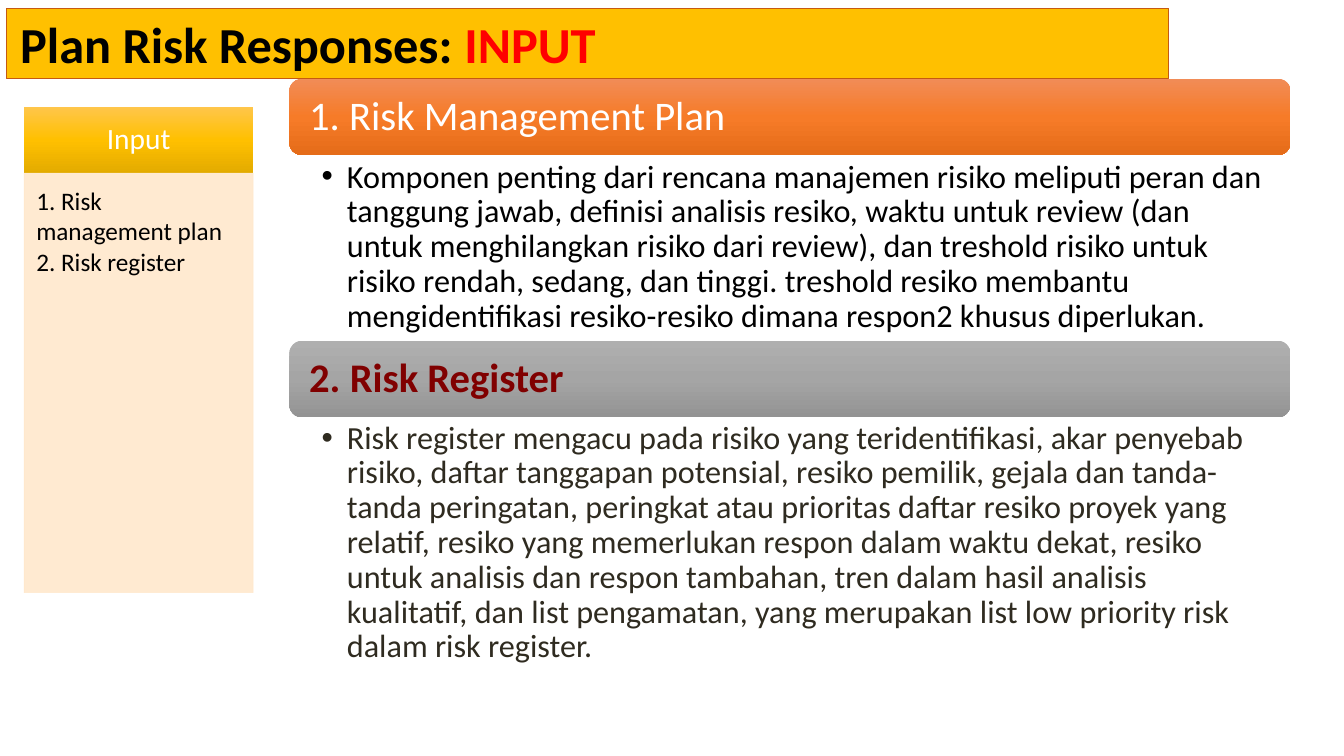
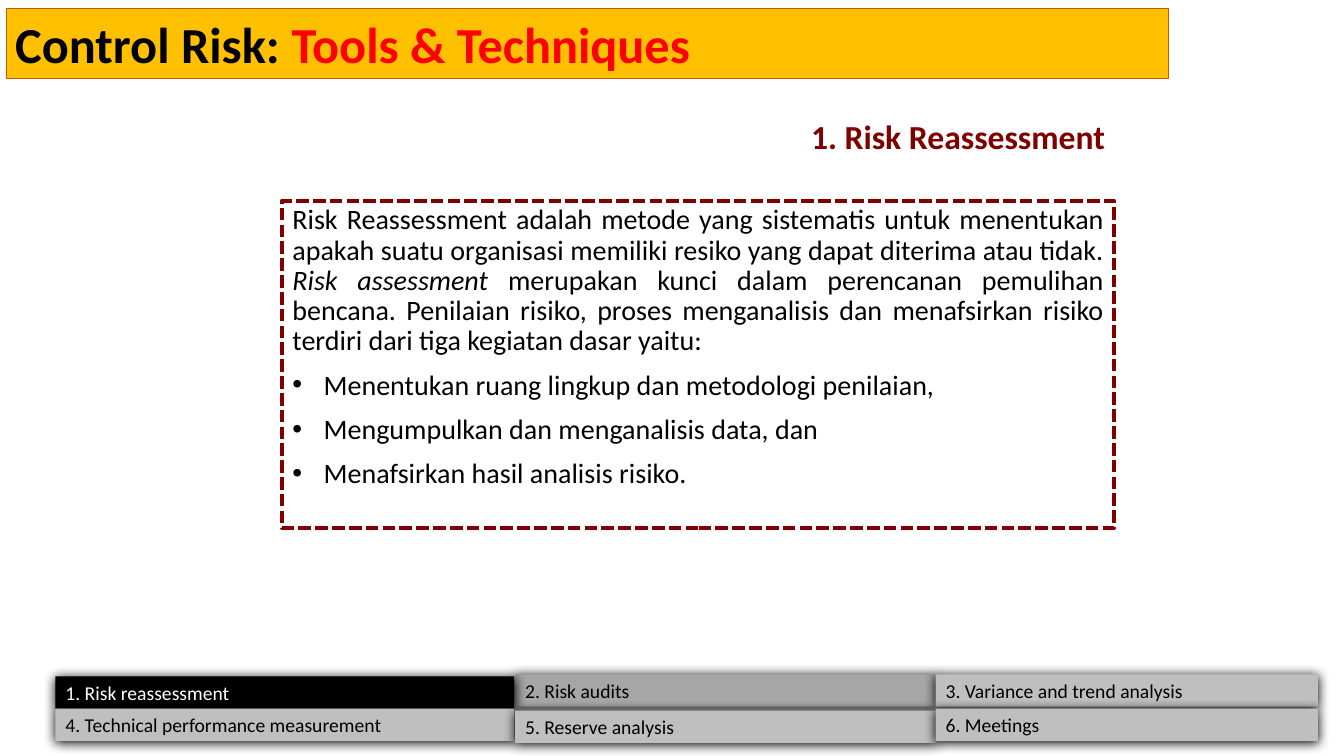
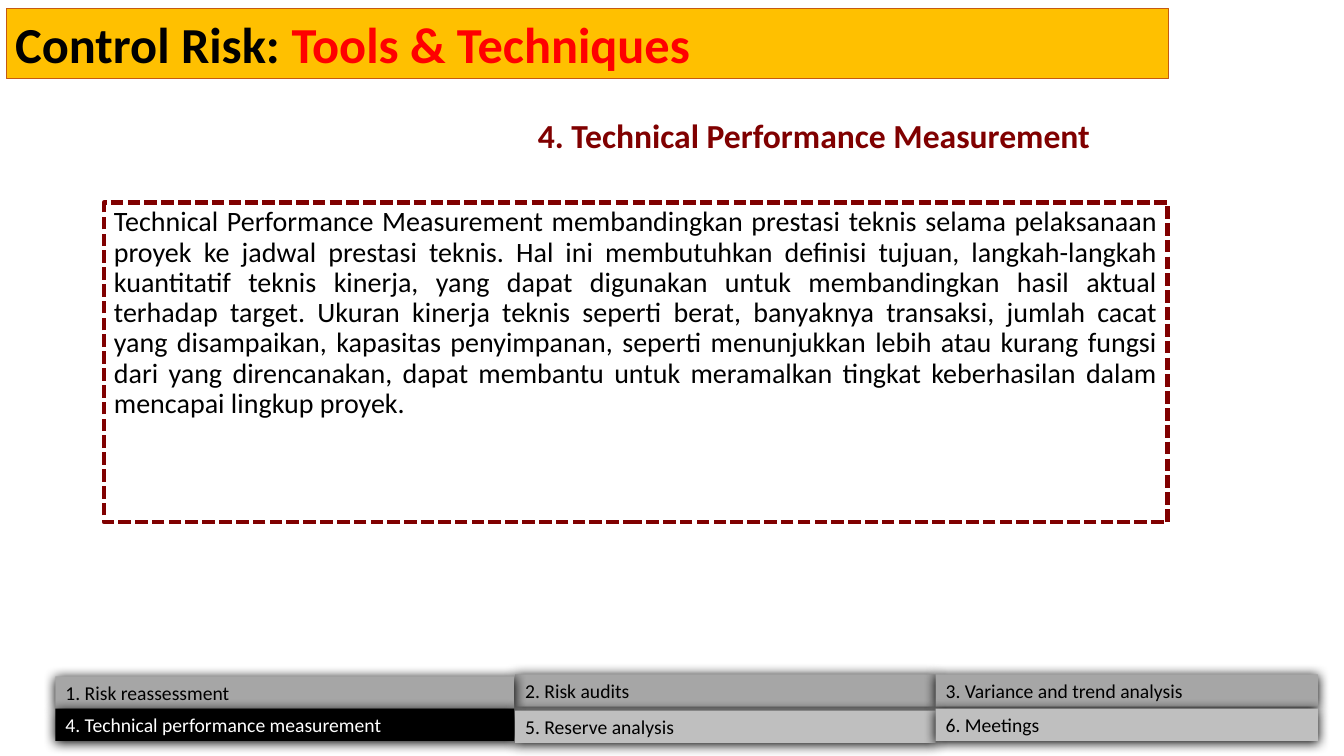
"""Build three risk management slides with a shared title band and tab bar."""
from dataclasses import dataclass

from lxml.etree import SubElement
from pptx import Presentation
from pptx.dml.color import RGBColor
from pptx.enum.dml import MSO_LINE
from pptx.enum.shapes import MSO_SHAPE
from pptx.enum.text import MSO_ANCHOR, MSO_AUTO_SIZE, PP_ALIGN
from pptx.oxml.ns import qn
from pptx.util import Inches, Pt


@dataclass(frozen=True)
class Theme:
    font: str = "Calibri"
    band: str = "FFC000"
    band_line: str = "C55A11"
    black: str = "000000"
    white: str = "FFFFFF"
    red: str = "FF0000"
    maroon: str = "800000"
    olive: str = "2F2B20"
    cream: str = "FFE8CC"
    tab: str = "BFBFBF"
    tab_dark: str = "A6A6A6"
    gold: tuple = ("FFC64B", "FFC000", "E3AB00")
    orange: tuple = ("F18C57", "F67B28", "E56C19")
    gray: tuple = ("AFAFAF", "A5A5A5", "939393")
    title_size: int = 36
    header_size: int = 29
    heading_size: int = 24
    detail_size: int = 23
    input_size: int = 21
    body_size: int = 20
    panel_size: int = 18
    tab_size: int = 14


T = Theme()
INSETS = (0.1, 0.05, 0.1, 0.05)
TABS = [
    (2, "2. Risk audits", 5.11, 6.69, 4.17),
    (3, "3. Variance and trend analysis", 9.28, 6.69, 3.79),
    (1, "1. Risk reassessment", 0.55, 6.71, 4.55),
    (4, "4. Technical performance measurement", 0.55, 7.03, 4.55),
    (5, "5. Reserve analysis", 5.11, 7.05, 4.17),
    (6, "6. Meetings", 9.28, 7.03, 3.79),
]


def assign(obj, values):
    for name, value in values.items():
        setattr(obj, name, value)


def rgb(color):
    return RGBColor.from_string(color)


class Deck:
    def __init__(self, theme):
        self.t = theme
        self.prs = Presentation()
        assign(self.prs, {"slide_width": Inches(13.33), "slide_height": Inches(7.5)})
        self.s = None

    def slide(self, layout, lead, accent, left=0.09):
        self.s = self.prs.slides.add_slide(self.prs.slide_layouts[layout])
        sp = self.s.shapes.title
        self.place(sp, (0.06, 0.08, 11.53, 0.7))
        self.paint(sp, self.t.band, self.t.band_line, 0.75)
        runs = [(lead, {}), (accent, {"color": self.t.red})]
        self.put_text(sp, [runs], self.t.title_size, bold=True, insets=(left, 0.05, 0.09, 0.05))

    def place(self, sp, box):
        assign(sp, dict(zip(("left", "top", "width", "height"), map(Inches, box))))

    def paint(self, sp, fill=None, line=None, width=1, alpha=None):
        if isinstance(fill, tuple):
            self.gradient(sp, fill)
        elif fill:
            sp.fill.solid()
            sp.fill.fore_color.rgb = rgb(fill)
        if line:
            sp.line.color.rgb = rgb(line)
            sp.line.width = Pt(width)
        else:
            sp.line.fill.background()
        if alpha:
            for clr in sp.element.spPr.iter(qn("a:srgbClr")):
                SubElement(clr, qn("a:alpha"), val=str(alpha * 1000))

    def gradient(self, sp, colors):
        sp.fill.gradient()
        sp.fill.gradient_angle = 270
        stops = sp.element.spPr.find(".//" + qn("a:gsLst"))
        for stop in list(stops):
            stops.remove(stop)
        for i, color in enumerate(colors):
            stop = SubElement(stops, qn("a:gs"), pos=str(i * 50000))
            SubElement(stop, qn("a:srgbClr"), val=color)

    def put_text(self, sp, paragraphs, size, color=None, bold=False, align=PP_ALIGN.LEFT,
                 anchor=MSO_ANCHOR.TOP, insets=INSETS, spacing=1.0, before=0, bullets=(), hang=0):
        tf = sp.text_frame
        assign(tf, {"word_wrap": True, "auto_size": MSO_AUTO_SIZE.NONE, "vertical_anchor": anchor})
        sides = ("margin_left", "margin_top", "margin_right", "margin_bottom")
        assign(tf, dict(zip(sides, map(Inches, insets))))
        for i, runs in enumerate(paragraphs):
            p = tf.add_paragraph() if i else tf.paragraphs[0]
            self.bullet(p, hang if i in bullets else 0)
            assign(p, {"alignment": align, "line_spacing": spacing,
                       "space_before": Pt(before if i else 0), "space_after": Pt(0)})
            for text, style in [(runs, {})] if isinstance(runs, str) else runs:
                r = p.add_run()
                r.text = text
                assign(r.font, {"name": self.t.font, "size": Pt(size), "bold": bold,
                                "italic": style.get("italic", False)})
                r.font.color.rgb = rgb(style.get("color", color or self.t.black))

    def bullet(self, p, hang):
        ppr = p._p.get_or_add_pPr()
        ppr.set("marL", str(Inches(hang)))
        ppr.set("indent", str(-Inches(hang)))
        if hang:
            SubElement(ppr, qn("a:buFont"), typeface="Arial")
            SubElement(ppr, qn("a:buChar"), char="•")
        else:
            SubElement(ppr, qn("a:buNone"))

    def box(self, box, fill, paragraphs, size, kind=MSO_SHAPE.RECTANGLE,
            line=None, width=1, alpha=None, **text):
        sp = self.s.shapes.add_shape(kind, *map(Inches, box))
        sp.shadow.inherit = False
        self.paint(sp, fill, line, width, alpha)
        self.put_text(sp, paragraphs, size, **text)
        return sp

    def header(self, top, fill, text, **style):
        self.box((2.87, top, 9.93, 0.76), fill, [text], self.t.header_size,
                 MSO_SHAPE.ROUNDED_RECTANGLE, anchor=MSO_ANCHOR.MIDDLE,
                 insets=(0.16, 0.05, 0.16, 0.05), spacing=0.9, **style)

    def detail(self, idx, top, height, text, color):
        sp = self.s.placeholders[idx]
        self.place(sp, (2.87, top, 9.93, height))
        self.put_text(sp, [text], self.t.detail_size, color, insets=(0.32, 0.04, 0.23, 0.04),
                      spacing=0.9, bullets=(0,), hang=0.25)

    def heading(self, box, text):
        sp = self.s.shapes.add_textbox(*map(Inches, box))
        self.put_text(sp, [text], self.t.heading_size, self.t.maroon, True, PP_ALIGN.RIGHT)

    def body(self, box, paragraphs, bullets=()):
        sp = self.s.placeholders[1]
        self.place(sp, box)
        self.paint(sp, None, self.t.maroon, 3)
        sp.line.dash_style = MSO_LINE.SQUARE_DOT
        self.put_text(sp, paragraphs, self.t.body_size, align=PP_ALIGN.JUSTIFY,
                      spacing=0.9, before=10, bullets=bullets, hang=0.31)

    def tabs(self, active, dark):
        for number, text, left, top, width in TABS:
            fill = self.t.tab_dark if number in dark else self.t.tab
            color = self.t.black
            if number == active:
                fill, color = self.t.black, self.t.white
            sp = self.box((left, top, width, 0.32), fill, [text], self.t.tab_size,
                          color=color, anchor=MSO_ANCHOR.MIDDLE)
            effects = sp.element.spPr.find(qn("a:effectLst"))
            shadow = SubElement(effects, qn("a:outerShdw"), blurRad=str(Pt(8.5)),
                                dist=str(Pt(1)), dir="5400000", rotWithShape="0")
            SubElement(shadow, qn("a:srgbClr"), val=self.t.black)


def main():
    d = Deck(T)

    d.slide(3, "Plan Risk Responses: ", "INPUT", left=0.14)
    d.box((0.24, 1.06, 2.27, 0.66), T.gold, ["Input"], T.input_size, color=T.white,
          align=PP_ALIGN.CENTER, anchor=MSO_ANCHOR.MIDDLE, spacing=0.9)
    d.box((0.24, 1.72, 2.27, 4.16), T.cream, ["1. Risk management plan", "2. Risk register"],
          T.panel_size, line=T.cream, width=0.5, alpha=90, insets=(0.12, 0.12, 0.16, 0.18))
    d.header(0.78, T.orange, "1. Risk Management Plan", color=T.white)
    d.detail(1, 1.55, 1.84, "Komponen penting dari rencana manajemen risiko meliputi peran dan "
             "tanggung jawab, definisi analisis resiko, waktu untuk review (dan untuk "
             "menghilangkan risiko dari review), dan treshold risiko untuk risiko rendah, "
             "sedang, dan tinggi. treshold resiko membantu mengidentifikasi resiko-resiko "
             "dimana respon2 khusus diperlukan.", T.black)
    d.header(3.38, T.gray, "2. Risk Register", color=T.maroon, bold=True)
    d.detail(2, 4.14, 2.56, "Risk register mengacu pada risiko yang teridentifikasi, akar "
             "penyebab risiko, daftar tanggapan potensial, resiko pemilik, gejala dan "
             "tanda-tanda peringatan, peringkat atau prioritas daftar resiko proyek yang "
             "relatif, resiko yang memerlukan respon dalam waktu dekat, resiko untuk analisis "
             "dan respon tambahan, tren dalam hasil analisis kualitatif, dan list pengamatan, "
             "yang merupakan list low priority risk dalam risk register.", T.olive)

    d.slide(1, "Control Risk: ", "Tools & Techniques")
    d.tabs(1, dark=(2,))
    intro = [
        ("Risk Reassessment adalah metode yang sistematis untuk menentukan apakah suatu "
         "organisasi memiliki resiko yang dapat diterima atau tidak. ", {}),
        ("Risk assessment ", {"italic": True}),
        ("merupakan kunci dalam perencanan pemulihan bencana. Penilaian risiko, proses "
         "menganalisis dan menafsirkan risiko terdiri dari tiga kegiatan dasar yaitu:", {}),
    ]
    d.body((2.8, 1.99, 8.25, 3.25), [
        intro,
        "Menentukan ruang lingkup dan metodologi penilaian,",
        "Mengumpulkan dan menganalisis data, dan",
        "Menafsirkan hasil analisis risiko.",
    ], bullets=(1, 2, 3))
    d.heading((6.11, 1.1, 4.95, 0.5), "1. Risk Reassessment")

    d.slide(1, "Control Risk: ", "Tools & Techniques")
    d.tabs(4, dark=(1, 2, 3))
    d.body((1.03, 2.01, 10.55, 3.17), [
        "Technical Performance Measurement membandingkan prestasi teknis selama pelaksanaan "
        "proyek ke jadwal prestasi teknis. Hal ini membutuhkan definisi tujuan, "
        "langkah-langkah kuantitatif teknis kinerja, yang dapat digunakan untuk membandingkan "
        "hasil aktual terhadap target. Ukuran kinerja teknis seperti berat, banyaknya "
        "transaksi, jumlah cacat yang disampaikan, kapasitas penyimpanan, seperti menunjukkan "
        "lebih atau kurang fungsi dari yang direncanakan, dapat membantu untuk meramalkan "
        "tingkat keberhasilan dalam mencapai lingkup proyek.",
    ])
    d.heading((3.47, 1.09, 7.44, 0.5), "4. Technical Performance Measurement")

    d.prs.save("out.pptx")


if __name__ == "__main__":
    main()
